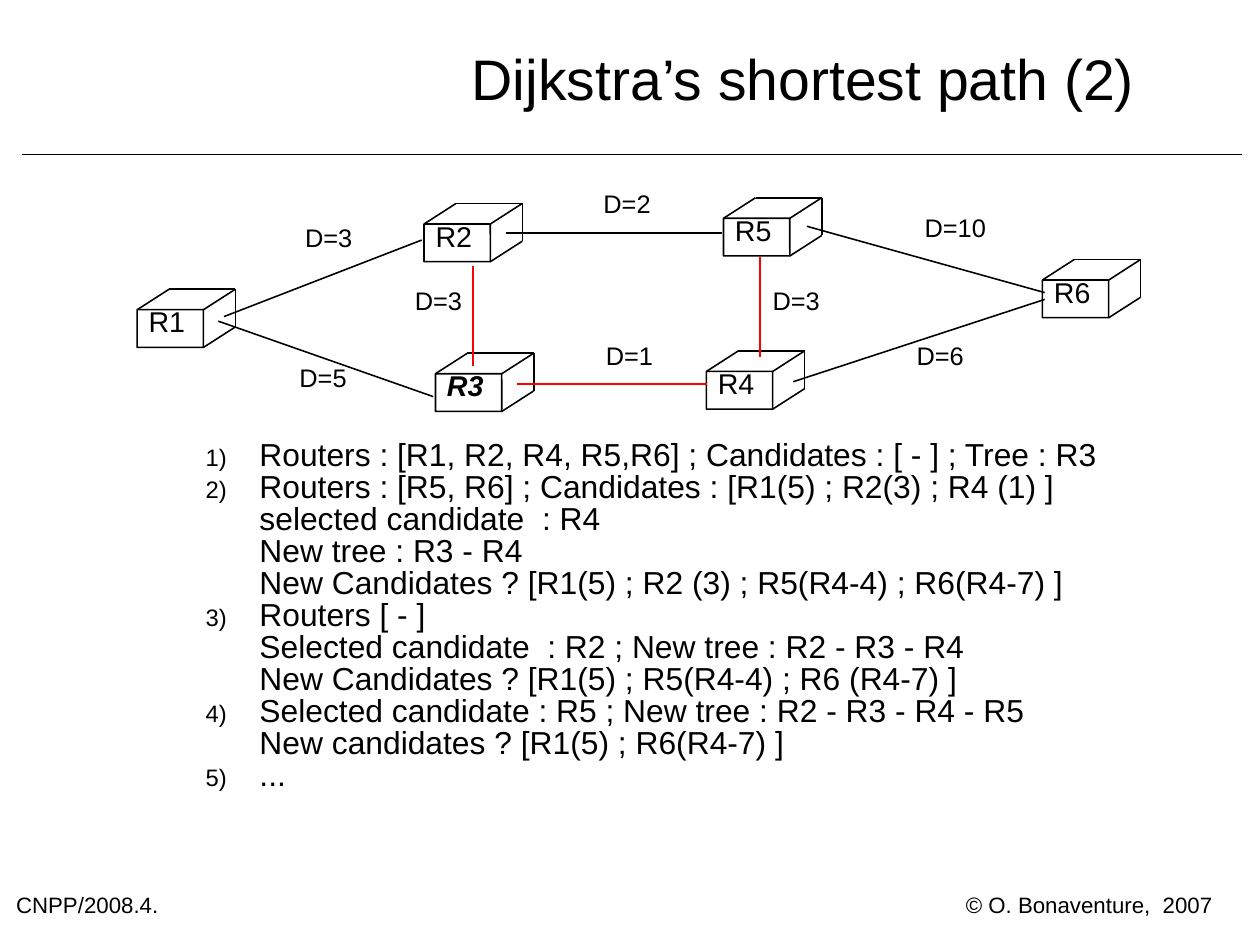
from lxml.etree import SubElement
from pptx import Presentation
from pptx.dml.color import RGBColor
from pptx.enum.shapes import MSO_CONNECTOR, MSO_SHAPE
from pptx.enum.text import MSO_ANCHOR, MSO_AUTO_SIZE, PP_ALIGN
from pptx.oxml.ns import qn
from pptx.util import Inches, Pt

BLACK, RED = "000000", "FF0000"

presentation = Presentation()
presentation.slide_width = Inches(28 / 2.54)
presentation.slide_height = Inches(21 / 2.54)
slide = presentation.slides.add_slide(presentation.slide_layouts[6])


def add_line(shapes, x1, y1, x2, y2, color=BLACK):
    line = shapes.add_connector(
        MSO_CONNECTOR.STRAIGHT, Inches(x1), Inches(y1), Inches(x2), Inches(y2))
    line.line.color.rgb = RGBColor.from_string(color)
    line.line.width = Pt(1)
    SubElement(line._element.spPr, qn("a:effectLst"))


def add_text(shapes, paragraphs, left, top, width, height, size,
             align=PP_ALIGN.LEFT, wrap=False, numbered=False):
    box = shapes.add_textbox(Inches(left), Inches(top), Inches(width), Inches(height))
    frame = box.text_frame
    frame.word_wrap = wrap
    frame.auto_size = MSO_AUTO_SIZE.NONE if wrap else MSO_AUTO_SIZE.SHAPE_TO_FIT_TEXT
    frame.margin_left = frame.margin_right = 0
    frame.margin_top = frame.margin_bottom = 0
    for index, text in enumerate(paragraphs):
        paragraph = frame.add_paragraph() if index else frame.paragraphs[0]
        paragraph.text = text
        paragraph.alignment = align
        paragraph.line_spacing = 0.84
        if numbered:
            properties = paragraph._p.get_or_add_pPr()
            properties.set("marL", str(Inches(1.49)))
            properties.set("indent", str(Inches(-0.47)))
            bullet_color = SubElement(properties, qn("a:buClr"))
            SubElement(bullet_color, qn("a:srgbClr"), val=BLACK)
            SubElement(properties, qn("a:buSzPct"), val="75000")
            SubElement(properties, qn("a:buFont"), typeface="Arial")
            SubElement(properties, qn("a:buAutoNum"), type="arabicParenR")
        paragraph.font.name = "Arial"
        paragraph.font.size = Pt(size)
        paragraph.font.color.rgb = RGBColor.from_string(BLACK)
    return frame


add_line(slide.shapes, 0.19, 1.35, 10.87, 1.35)
add_text(slide.shapes, ["© O. Bonaventure,  2007"], 8.45, 7.84, 2.16, 0.2, 14)
add_text(slide.shapes, ["CNPP/2008.4."], 0.14, 7.84, 1.68, 0.24, 14, wrap=True)
title = add_text(slide.shapes, ["Dijkstra’s shortest path (2)"],
                 3.73, 0, 6.59, 1.46, 36, PP_ALIGN.CENTER, wrap=True)
title.vertical_anchor = MSO_ANCHOR.MIDDLE

steps = [
    "Routers : [R1, R2, R4, R5,R6] ; Candidates : [ - ] ; Tree : R3",
    "Routers : [R5, R6] ; Candidates : [R1(5) ; R2(3) ; R4 (1) ]\n"
    "selected candidate  : R4 \n"
    "New tree : R3 - R4\n"
    "New Candidates ? [R1(5) ; R2 (3) ; R5(R4-4) ; R6(R4-7) ]",
    "Routers [ - ] \n"
    "Selected candidate  : R2 ; New tree : R2 - R3 - R4\n"
    "New Candidates ? [R1(5) ; R5(R4-4) ; R6 (R4-7) ]",
    "Selected candidate : R5 ; New tree : R2 - R3 - R4 - R5\n"
    "New candidates ? [R1(5) ; R6(R4-7) ]",
    "...",
]
add_text(slide.shapes, steps, 0.78, 3.86, 9.41, 4.4, 20, wrap=True, numbered=True)

FRONT_WIDTH, FRONT_HEIGHT = 0.58, 0.33
DEPTH_X, DEPTH_Y = 0.28, 0.18
routers = [
    ("R2", 3.71, 1.96), ("R5", 6.33, 1.91), ("R3", 3.81, 3.27),
    ("R4", 6.18, 3.25), ("R1", 1.2, 2.71), ("R6", 9.12, 2.45),
]
for name, left, top in routers:
    router = slide.shapes.add_group_shape().shapes
    front = router.add_shape(MSO_SHAPE.ROUNDED_RECTANGLE, Inches(left), Inches(top),
                             Inches(FRONT_WIDTH), Inches(FRONT_HEIGHT))
    front.adjustments[0] = 0.005
    front.shadow.inherit = False
    front.fill.background()
    front.line.color.rgb = RGBColor.from_string(BLACK)
    front.line.width = Pt(1)

    right, bottom = left + FRONT_WIDTH, top + FRONT_HEIGHT
    back_left, back_right = left + DEPTH_X, right + DEPTH_X
    back_top, back_bottom = top - DEPTH_Y, bottom - DEPTH_Y
    add_line(router, left, top, back_left, back_top)
    add_line(router, right, top, back_right, back_top)
    add_line(router, right, bottom, back_right, back_bottom)
    add_line(router, back_left, back_top, back_right, back_top)
    add_line(router, back_right, back_top, back_right, back_bottom)
    label = add_text(router, [name], left + 0.1, top, 0.32, 0.25, 18, PP_ALIGN.CENTER)
    if name == "R3":
        label.paragraphs[0].font.bold = True
        label.paragraphs[0].font.italic = True

links = [
    (1.96, 2.77, 3.69, 2.1, BLACK),
    (3.79, 3.47, 1.91, 2.81, BLACK),
    (4.43, 2.04, 6.32, 2.04, BLACK),
    (4.52, 3.36, 6.19, 3.36, RED),
    (4.14, 3.2, 4.14, 2.33, RED),
    (6.65, 3.12, 6.65, 2.25, RED),
    (6.94, 3.34, 9.14, 2.62, BLACK),
    (7.06, 1.98, 9.14, 2.56, BLACK),
]
for link in links:
    add_line(slide.shapes, *link)

distances = [
    ("D=5", 2.62, 3.21), ("D=3", 2.67, 1.99), ("D=3", 3.63, 2.54), ("D=2", 5.28, 1.69),
    ("D=1", 5.3, 3.02), ("D=3", 6.76, 2.54), ("D=6", 8.02, 3.02), ("D=10", 8.09, 1.9),
]
for distance, left, top in distances:
    width = 0.55 if distance == "D=10" else 0.42
    add_text(slide.shapes, [distance], left, top, width, 0.22, 16)

presentation.save("out.pptx")
